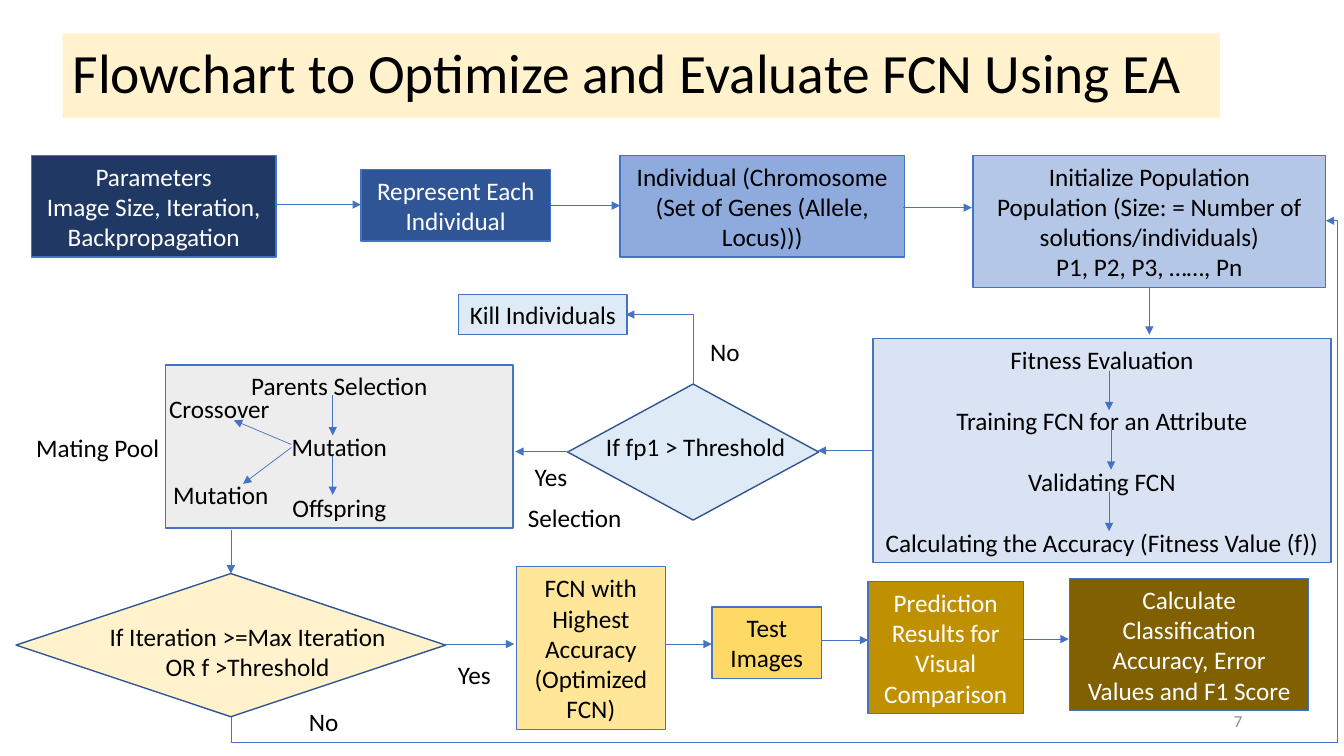
"""Build the flowchart slide on optimizing and evaluating an FCN with EA."""
from dataclasses import dataclass

from lxml import etree
from pptx import Presentation
from pptx.dml.color import RGBColor
from pptx.enum import shapes, text
from pptx.oxml import ns
from pptx.util import Inches, Pt


@dataclass(frozen=True)
class Theme:
    font: str = "Calibri"
    title_size: float = 39.6
    body_size: float = 18
    number_size: float = 12
    step_gap: float = 22
    outline_width: float = 1
    arrow_width: float = 0.5
    dark: str = "000000"
    light: str = "FFFFFF"
    number: str = "8C8C8C"
    outline: str = "4472C4"
    decision_outline: str = "325491"
    cream: str = "FFF2CC"
    pale_blue: str = "DEEBF7"
    grey: str = "EDEDED"
    blues: tuple = ("203864", "2F5597", "8FAADC", "B4C7E7", "DAE3F3")
    golds: tuple = ("FFE699", "FFD966", "BF9000", "806000")


THEME = Theme()


def color(value):
    return RGBColor.from_string(value)


def write(shape, lines, size=THEME.body_size, ink=THEME.dark,
          align=text.PP_ALIGN.CENTER, gap=0):
    frame = shape.text_frame
    frame.text = "\n".join(lines)
    for index, paragraph in enumerate(frame.paragraphs):
        paragraph.alignment = align
        paragraph.space_before = Pt(gap if index else 0)
        paragraph.font.name = THEME.font
        paragraph.font.size = Pt(size)
        paragraph.font.color.rgb = color(ink)
    return frame


def add_title(slide, wording):
    title = slide.shapes.title
    title.left, title.top = Inches(0.62), Inches(0.33)
    title.width, title.height = Inches(11.48), Inches(0.84)
    title.fill.solid()
    title.fill.fore_color.rgb = color(THEME.cream)
    frame = write(title, [wording], THEME.title_size, align=text.PP_ALIGN.LEFT)
    frame.auto_size = text.MSO_AUTO_SIZE.NONE
    frame.vertical_anchor = text.MSO_ANCHOR.MIDDLE
    frame.paragraphs[0].line_spacing = 0.9


def add_node(slide, preset, box, fill, outline):
    shape = slide.shapes.add_shape(preset, *map(Inches, box))
    shape.shadow.inherit = False
    shape.fill.solid()
    shape.fill.fore_color.rgb = color(fill)
    shape.line.color.rgb = color(outline)
    shape.line.width = Pt(THEME.outline_width)
    return shape


def add_step(slide, box, fill, lines, ink=THEME.dark, gap=0, wrap=True):
    shape = add_node(slide, shapes.MSO_SHAPE.RECTANGLE, box, fill, THEME.outline)
    write(shape, lines, ink=ink, gap=gap).word_wrap = wrap


def add_decision(slide, box, fill):
    add_node(slide, shapes.MSO_SHAPE.FLOWCHART_DECISION, box, fill,
             THEME.decision_outline)


def add_label(slide, box, wording, wrap=False, **style):
    label = slide.shapes.add_textbox(*map(Inches, box))
    frame = write(label, [wording], **style)
    frame.word_wrap = wrap
    return frame


def add_arrow(slide, start, end, kind=shapes.MSO_CONNECTOR.STRAIGHT):
    arrow = slide.shapes.add_connector(kind, *map(Inches, (*start, *end)))
    arrow.line.color.rgb = color(THEME.outline)
    arrow.line.width = Pt(THEME.arrow_width)
    etree.SubElement(arrow.line._get_or_add_ln(), ns.qn("a:tailEnd"), type="triangle")
    etree.SubElement(arrow._element.spPr, ns.qn("a:effectLst"))
    return arrow


def add_bent_arrow(slide, start, end, preset, turn, adjustments=()):
    """Draw a bent arrow that leaves vertically; turn is 1 for 90 degrees, -1 for 270."""
    middle_x, middle_y = (start[0] + end[0]) / 2, (start[1] + end[1]) / 2
    across = turn * (start[1] - middle_y)
    down = turn * (middle_x - start[0])
    arrow = add_arrow(slide, (middle_x + across, middle_y + down),
                      (middle_x - across, middle_y - down),
                      shapes.MSO_CONNECTOR.ELBOW)
    properties = arrow._element.spPr
    properties.find(ns.qn("a:xfrm")).set("rot", str(turn * 90 % 360 * 60000))
    geometry = properties.find(ns.qn("a:prstGeom"))
    geometry.set("prst", preset)
    guides = geometry.find(ns.qn("a:avLst"))
    for index, value in enumerate(adjustments, 1):
        etree.SubElement(guides, ns.qn("a:gd"), name=f"adj{index}", fmla=f"val {value}")


def add_preparation(slide):
    navy, blue, sky, mist, haze = THEME.blues
    add_step(slide, (0.31, 1.54, 2.43, 1.01), navy,
             ["Parameters", "Image Size, Iteration, Backpropagation"], THEME.light)
    add_step(slide, (3.58, 1.68, 1.88, 0.71), blue,
             ["Represent Each Individual"], THEME.light)
    add_step(slide, (6.15, 1.54, 2.82, 1.01), sky,
             ["Individual (Chromosome (Set of Genes (Allele, Locus)))"])
    add_step(slide, (9.65, 1.54, 3.5, 1.31), mist,
             ["Initialize Population",
              "Population (Size: = Number of solutions/individuals)",
              "P1, P2, P3, ……, Pn"])
    add_step(slide, (8.66, 3.36, 4.54, 2.22), haze,
             ["Fitness Evaluation", "Training FCN for an Attribute",
              "Validating FCN", "Calculating the Accuracy (Fitness Value (f))"],
             gap=THEME.step_gap)


def add_selection(slide):
    add_decision(slide, (5.63, 3.81, 2.49, 1.35), THEME.pale_blue)
    add_step(slide, (1.64, 3.62, 3.45, 1.62), THEME.grey,
             ["Parents Selection", "Mutation", "Offspring"], gap=THEME.step_gap)
    add_step(slide, (4.55, 2.92, 1.67, 0.4), THEME.pale_blue,
             ["Kill Individuals"], wrap=False)
    add_decision(slide, (0.16, 5.69, 4.26, 1.42), THEME.cream)
    add_label(slide, (0.88, 6.11, 3.15, 0.71),
              "If Iteration >=Max Iteration OR f >Threshold", wrap=True)
    for left, top, width, wording in (
            (5.9, 4.23, 2, "If fp1 > Threshold"),
            (5.2, 4.53, 0.53, "Yes"),
            (6.94, 3.29, 0.5, "No"),
            (1.57, 3.85, 1.21, "Crossover"),
            (1.61, 4.71, 1.16, "Mutation"),
            (0.25, 4.24, 1.44, "Mating Pool"),
            (4.44, 6.49, 0.53, "Yes"),
            (2.96, 6.96, 0.5, "No"),
            (5.13, 4.93, 1.14, "Selection")):
        add_label(slide, (left, top, width, 0.4), wording)


def add_results(slide):
    pale, yellow, ochre, brown = THEME.golds
    add_step(slide, (5.12, 5.62, 1.48, 1.62), pale,
             ["FCN with Highest Accuracy (Optimized FCN)"])
    add_step(slide, (7.06, 6.02, 1.09, 0.71), yellow, ["Test Images"])
    add_step(slide, (8.61, 5.77, 1.54, 1.31), ochre,
             ["Prediction Results for Visual Comparison"], THEME.light)
    add_step(slide, (10.61, 5.74, 2.37, 1.31), brown,
             ["Calculate Classification Accuracy, Error Values and F1 Score"],
             THEME.light)


def add_arrows(slide):
    for left, right, y in ((2.74, 3.58, 2.03), (5.46, 6.15, 2.04), (8.96, 9.64, 2.06),
                           (8.66, 8.11, 4.47), (5.65, 5.11, 4.48), (4.41, 5.1, 6.39),
                           (6.6, 7.06, 6.39), (8.15, 8.61, 6.35), (10.14, 10.6, 6.34)):
        add_arrow(slide, (left, y), (right, y))
    for x, top, bottom in ((11.4, 2.85, 3.32), (11, 3.68, 4.07), (11.02, 4.27, 4.66),
                           (11, 4.88, 5.27), (3.3, 3.92, 4.32), (3.3, 4.52, 4.91),
                           (2.29, 5.26, 5.69)):
        add_arrow(slide, (x, top), (x, bottom))
    add_arrow(slide, (2.89, 4.41), (2.32, 4.17))
    add_arrow(slide, (2.89, 4.44), (2.41, 4.8))
    add_bent_arrow(slide, (6.88, 3.81), (6.21, 3.12), "bentConnector2", -1)
    add_bent_arrow(slide, (2.29, 7.11), (13.15, 2.19), "bentConnector4", 1,
                   (-5100, 101100))


def main():
    presentation = Presentation()
    presentation.slide_width, presentation.slide_height = Inches(13.33), Inches(7.5)
    slide = presentation.slides.add_slide(presentation.slide_layouts[5])
    add_title(slide, "Flowchart to Optimize and Evaluate FCN Using EA")
    number = add_label(slide, (9.42, 6.95, 3, 0.4), "7", wrap=True,
                       size=THEME.number_size, ink=THEME.number,
                       align=text.PP_ALIGN.RIGHT)
    number.vertical_anchor = text.MSO_ANCHOR.MIDDLE
    add_preparation(slide)
    add_selection(slide)
    add_results(slide)
    add_arrows(slide)
    presentation.save("out.pptx")


if __name__ == "__main__":
    main()
